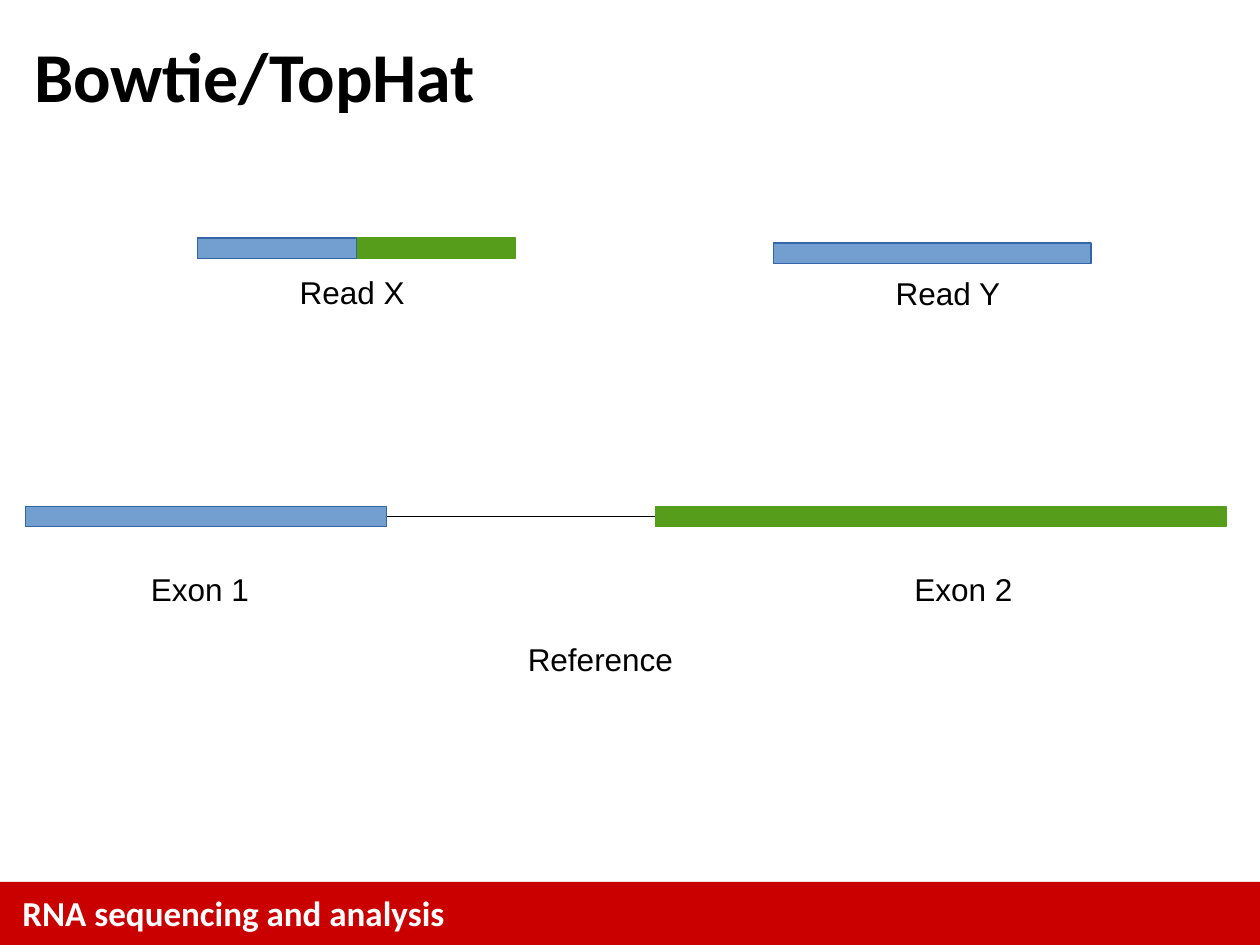
"""Build a slide on spliced read alignment, laid out on a 100 by 75 grid."""
import dataclasses
import typing

import lxml.etree
import pptx
import pptx.dml.color
import pptx.enum.shapes
import pptx.enum.text
import pptx.oxml.ns
import pptx.util

COLORS = {
    "banner": "CA0000",
    "exon_one": "729FCF",
    "exon_one_edge": "3465A4",
    "exon_two": "579D1C",
    "text": "000000",
    "banner_text": "FFFFFF",
}
COLUMNS, ROWS = 100, 75
BAR_ROWS = 1.6
LABEL_ROWS = 3.8
REFERENCE_ROW = 40.2
EXON_LABEL_ROW = 44.9


@dataclasses.dataclass
class Area:
    column: float
    row: float
    columns: float
    rows: float


@dataclasses.dataclass
class Bar:
    area: Area
    fill: str
    edge: str


@dataclasses.dataclass
class Label:
    text: str
    area: Area


READ_X = Area(15.7, 18.9, 25.2, BAR_ROWS)
READ_Y = Area(61.4, 19.3, 25.2, BAR_ROWS)
EXON_ONE = Area(2, REFERENCE_ROW, 28.7, BAR_ROWS)
EXON_TWO = Area(52, REFERENCE_ROW, 45.3, BAR_ROWS)

BARS = [
    Bar(READ_Y, "exon_one", "exon_one_edge"),
    Bar(READ_X, "exon_two", "exon_two"),
    Bar(dataclasses.replace(READ_X, columns=READ_X.columns / 2), "exon_one", "exon_one_edge"),
    Bar(EXON_ONE, "exon_one", "exon_one_edge"),
    Bar(EXON_TWO, "exon_two", "exon_two"),
]
LABELS = [
    Label("Read X", Area(22.8, 21.3, 10.3, LABEL_ROWS)),
    Label("Read Y", Area(70.1, 21.4, 10.2, LABEL_ROWS)),
    Label("Reference", Area(40.9, 50.4, 13.5, LABEL_ROWS)),
    Label("Exon 1", Area(11, EXON_LABEL_ROW, 9.7, LABEL_ROWS)),
    Label("Exon 2", Area(71.6, EXON_LABEL_ROW, 9.7, LABEL_ROWS)),
]

deck = pptx.Presentation()
deck.slide_width = pptx.util.Inches(10)
deck.slide_height = pptx.util.Inches(7.5)
page = deck.slides.add_slide(deck.slide_layouts[5])


def across(columns: float) -> int:
    return round(deck.slide_width * columns / COLUMNS)


def down(rows: float) -> int:
    return round(deck.slide_height * rows / ROWS)


def place(area: Area) -> tuple[int, int, int, int]:
    return across(area.column), down(area.row), across(area.columns), down(area.rows)


def color(name: str) -> pptx.dml.color.RGBColor:
    return pptx.dml.color.RGBColor.from_string(COLORS[name])


def add_span(para: typing.Any, text: str, *, size: float, font: str = "Arial",
             bold: bool = False, fill: str = "text") -> None:
    span = para.add_run()
    span.text = text
    span.font.name = font
    span.font.size = pptx.util.Pt(size)
    span.font.bold = bold
    span.font.color.rgb = color(fill)


def add_box(area: Area, *, wrap: bool = True, top: float = 0.05,
            right: float = 0.1) -> typing.Any:
    box = page.shapes.add_textbox(*place(area))
    frame = box.text_frame
    frame.word_wrap = wrap
    frame.margin_top = pptx.util.Inches(top)
    frame.margin_right = pptx.util.Inches(right)
    return frame.paragraphs[0]


def add_bar(area: Area, fill: str, edge: str | None = None) -> None:
    shape = page.shapes.add_shape(pptx.enum.shapes.MSO_SHAPE.RECTANGLE, *place(area))
    shape.shadow.inherit = False
    shape.fill.solid()
    shape.fill.fore_color.rgb = color(fill)
    if edge is None:
        shape.line.fill.background()
    else:
        shape.line.color.rgb = color(edge)
        shape.line.width = pptx.util.Pt(0.75)


def add_label(label: Label) -> None:
    para = add_box(label.area, wrap=False, top=0.06, right=0)
    para.line_spacing = 0.94
    add_span(para, label.text, size=18)


def add_intron(left: Area, right: Area) -> None:
    middle = down(left.row + left.rows / 2)
    intron = page.shapes.add_connector(
        pptx.enum.shapes.MSO_CONNECTOR.STRAIGHT,
        across(left.column + left.columns), middle, across(right.column), middle)
    intron.line.color.rgb = color("text")
    intron.line.width = pptx.util.Pt(0.75)
    lxml.etree.SubElement(intron._element.spPr, pptx.oxml.ns.qn("a:effectLst"))


def add_banner() -> None:
    add_bar(Area(0, 70, COLUMNS, 5), "banner")
    add_span(add_box(Area(0.8, 70.3, 73.3, 4.3)), "RNA sequencing and analysis",
             size=20, font="Calibri", bold=True, fill="banner_text")


def set_title(text: str) -> None:
    title = page.shapes.title
    title.left, title.top, title.width, title.height = place(Area(1.7, -0.3, 96.7, 12.5))
    title.text_frame.vertical_anchor = pptx.enum.text.MSO_ANCHOR.MIDDLE
    para = title.text_frame.paragraphs[0]
    para.alignment = pptx.enum.text.PP_ALIGN.LEFT
    add_span(para, text, size=40, font="Calibri", bold=True)


def main() -> None:
    add_banner()
    set_title("Bowtie/TopHat")
    for bar in BARS:
        add_bar(bar.area, bar.fill, bar.edge)
    add_intron(EXON_ONE, EXON_TWO)
    for label in LABELS:
        add_label(label)
    deck.save("out.pptx")


if __name__ == "__main__":
    main()
